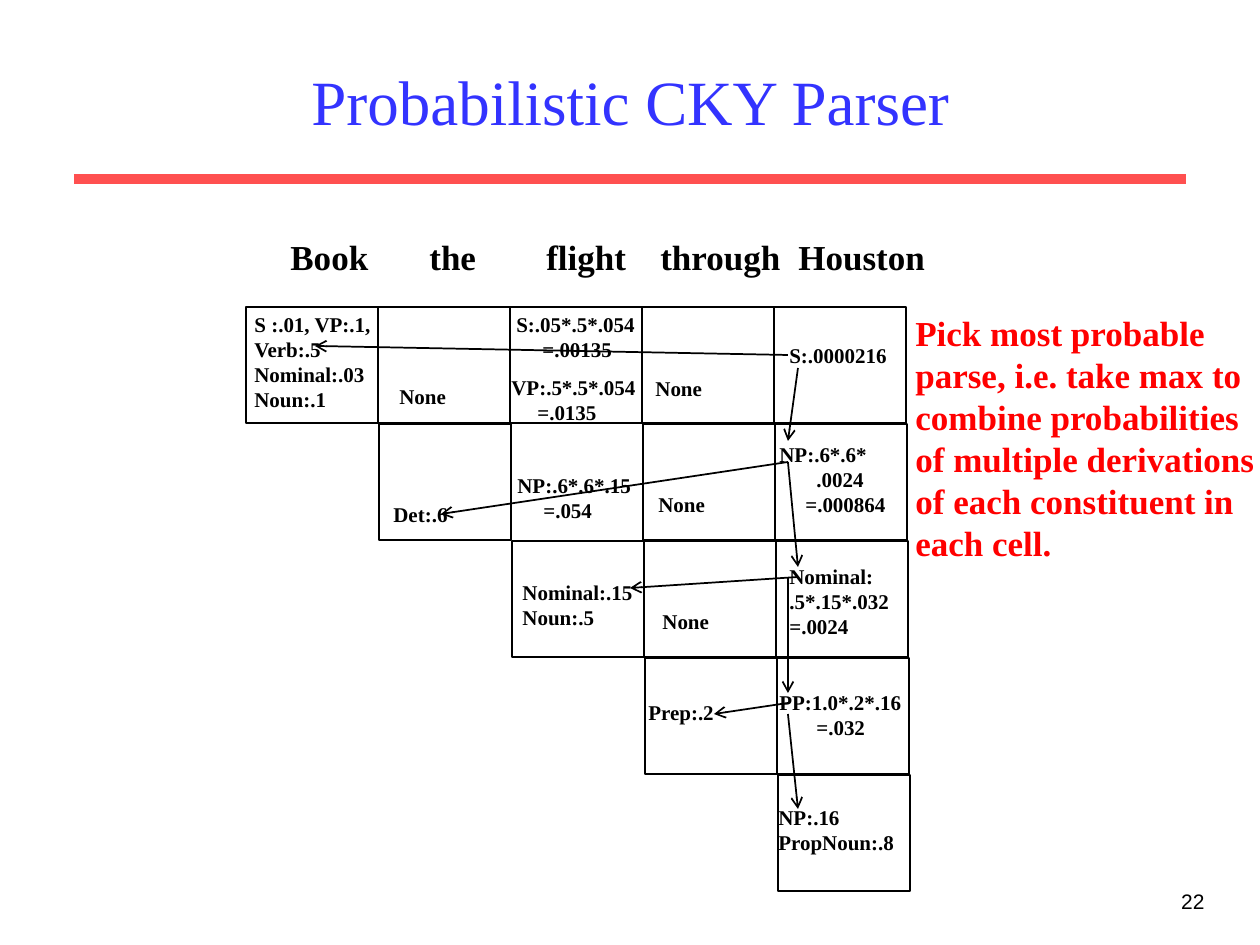
"""Build the Probabilistic CKY Parser slide."""
from dataclasses import dataclass

from lxml import etree
from pptx import Presentation
from pptx.dml.color import RGBColor
from pptx.enum.shapes import MSO_CONNECTOR, MSO_SHAPE
from pptx.enum.text import MSO_ANCHOR, MSO_AUTO_SIZE, PP_ALIGN
from pptx.oxml.ns import qn
from pptx.util import Emu, Pt

PX = 914400 // 126
STRAIGHT = MSO_CONNECTOR.STRAIGHT
RECTANGLE = MSO_SHAPE.RECTANGLE
MIDDLE = MSO_ANCHOR.MIDDLE
NO_AUTOFIT = MSO_AUTO_SIZE.NONE
LEFT, CENTER, RIGHT = PP_ALIGN.LEFT, PP_ALIGN.CENTER, PP_ALIGN.RIGHT


@dataclass
class Theme:
    serif: str = "Times New Roman"
    sans: str = "Arial"
    title: RGBColor = RGBColor(0x33, 0x33, 0xFF)
    rule: RGBColor = RGBColor(0xFF, 0x50, 0x50)
    note: RGBColor = RGBColor(0xFF, 0, 0)
    ink: RGBColor = RGBColor(0, 0, 0)
    title_size: int = 36
    large: int = 20
    small: int = 12


theme = Theme()
deck = Presentation()
deck.slide_width, deck.slide_height = Emu(1260 * PX), Emu(945 * PX)
page = deck.slides.add_slide(deck.slide_layouts[5])


def add_text(left, top, width, lines, size=theme.small, color=theme.ink,
             font=theme.serif, bold=True, align=LEFT):
    height = len(lines) * size * 21 // 10 + 13
    box = page.shapes.add_textbox(*(Emu(n * PX) for n in (left, top, width, height)))
    frame = box.text_frame
    frame.word_wrap = True
    if align == LEFT:
        frame.margin_right = 0
    frame.text = "\n".join(lines)
    for para in frame.paragraphs:
        para.alignment = align
        for span in para.runs:
            span.font.name, span.font.size, span.font.bold = font, Pt(size), bold
            span.font.color.rgb = color
    return frame


def add_line(start, end, color, weight, arrow=False):
    line = page.shapes.add_connector(STRAIGHT, *(Emu(n * PX) for n in start + end))
    line.line.color.rgb, line.line.width = color, Pt(weight)
    if arrow:
        outline = line.line._get_or_add_ln()
        etree.SubElement(outline, qn("a:tailEnd"), type="arrow")
    etree.SubElement(line._element.spPr, qn("a:effectLst"))


add_line((74, 179), (1186, 179), theme.rule, 6)

title = page.shapes.title
title.left, title.top, title.width, title.height = (Emu(n * PX) for n in (95, 32, 1071, 136))
title.text_frame.text = "Probabilistic CKY Parser"
title.text_frame.vertical_anchor = MIDDLE
title.text_frame.auto_size = NO_AUTOFIT
heading = title.text_frame.paragraphs[0]
heading.alignment = CENTER
span = heading.runs[0]
span.font.name, span.font.size = theme.serif, Pt(theme.title_size)
span.font.color.rgb = theme.title

add_text(955, 882, 262, ["22"], font=theme.sans, bold=False, align=RIGHT)

words = add_text(260, 229, 679, ["\tBook\tthe\tflight\tthrough\tHouston"], theme.large)
tabs = etree.SubElement(words.paragraphs[0]._p.get_or_add_pPr(), qn("a:tabLst"))
for stop in (18, 157, 274, 388, 526):
    etree.SubElement(tabs, qn("a:tab"), pos=str(stop * PX), algn="l")

for row in range(5):
    for column in range(row, 5):
        if (row, column) == (1, 2):
            continue
        cell = page.shapes.add_shape(
            RECTANGLE, Emu((246 + 132 * column + row) * PX), Emu((307 + 117 * row) * PX),
            Emu(132 * PX), Emu(116 * PX))
        cell.shadow.inherit = False
        cell.fill.background()
        cell.line.color.rgb, cell.line.width = theme.ink, Pt(1.5)

entries = [
    (242, 305, 147, ["S :.01, VP:.1,", "Verb:.5", "Nominal:.03", "Noun:.1"], {}),
    (381, 495, 79, ["Det:.6"], {}),
    (510, 573, 135, ["Nominal:.15", "Noun:.5"], {}),
    (387, 377, 72, ["None"], {}),
    (505, 466, 139, ["NP:.6*.6*.15", "=.054"], {1: 26}),
    (499, 368, 151, ["VP:.5*.5*.054", "=.0135"], {1: 26}),
    (504, 305, 151, ["S:.05*.5*.054", "=.00135"], {1: 26}),
    (650, 602, 72, ["None"], {}),
    (646, 485, 72, ["None"], {}),
    (643, 369, 72, ["None"], {}),
    (636, 693, 91, ["Prep:.2"], {}),
    (766, 798, 147, ["NP:.16", "PropNoun:.8"], {}),
    (767, 683, 146, ["PP:1.0*.2*.16", "=.032"], {1: 37}),
    (777, 557, 125, ["Nominal:", ".5*.15*.032", "=.0024"], {}),
    (767, 435, 131, ["NP:.6*.6*", ".0024", "=.000864"], {1: 37, 2: 26}),
    (777, 336, 151, ["S:.0000216"], {}),
]
for left, top, width, lines, indents in entries:
    frame = add_text(left, top, width, lines)
    for index, indent in indents.items():
        properties = frame.paragraphs[index]._p.get_or_add_pPr()
        properties.set("marL", str(indent * PX))
        properties.set("indent", "0")

backpointers = [
    ((788, 355), (315, 346)),
    ((798, 368), (788, 441)),
    ((788, 462), (441, 514)),
    ((788, 462), (798, 567)),
    ((798, 577), (630, 588)),
    ((788, 578), (788, 693)),
    ((788, 703), (714, 714)),
    ((788, 714), (798, 809)),
]
for start, end in backpointers:
    add_line(start, end, theme.ink, 1, arrow=True)

add_text(903, 305, 364, [
    "Pick most probable", "parse, i.e. take max to", "combine probabilities",
    "of multiple derivations", "of each constituent in", "each cell."],
    theme.large, theme.note)

deck.save("out.pptx")
